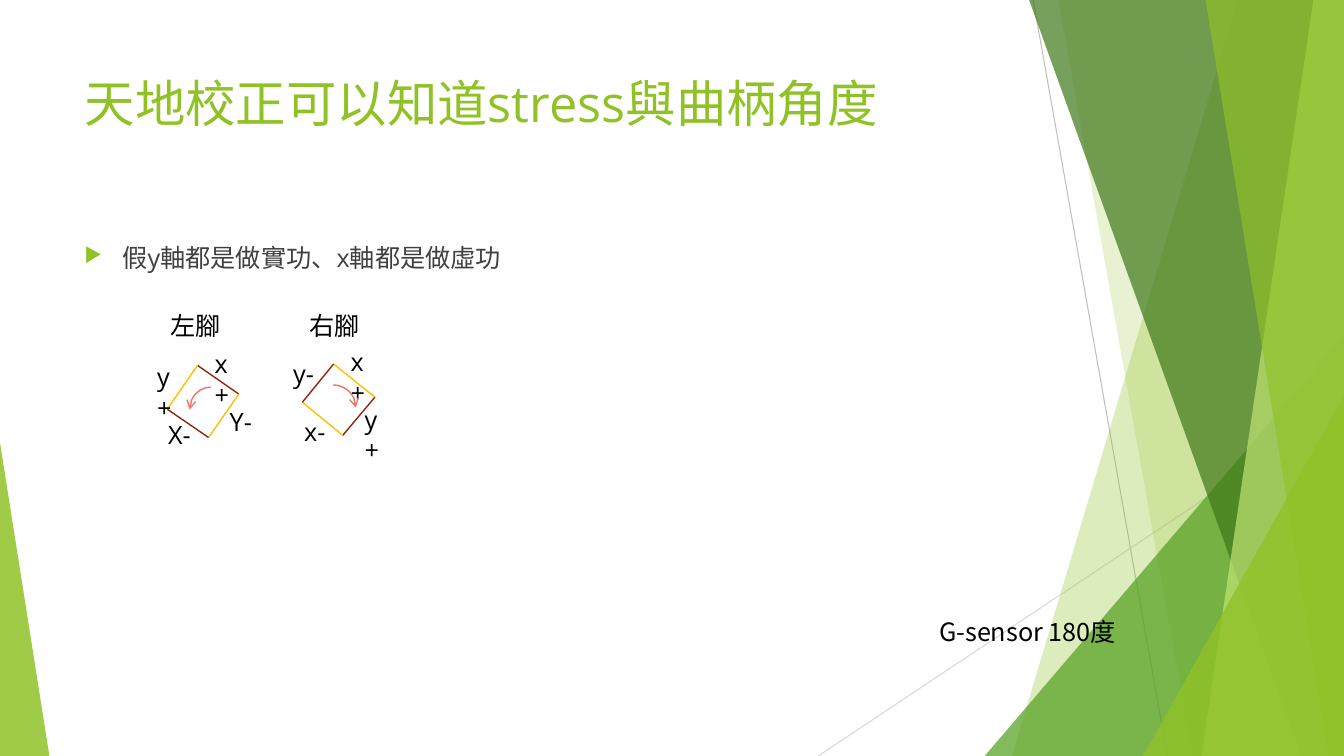
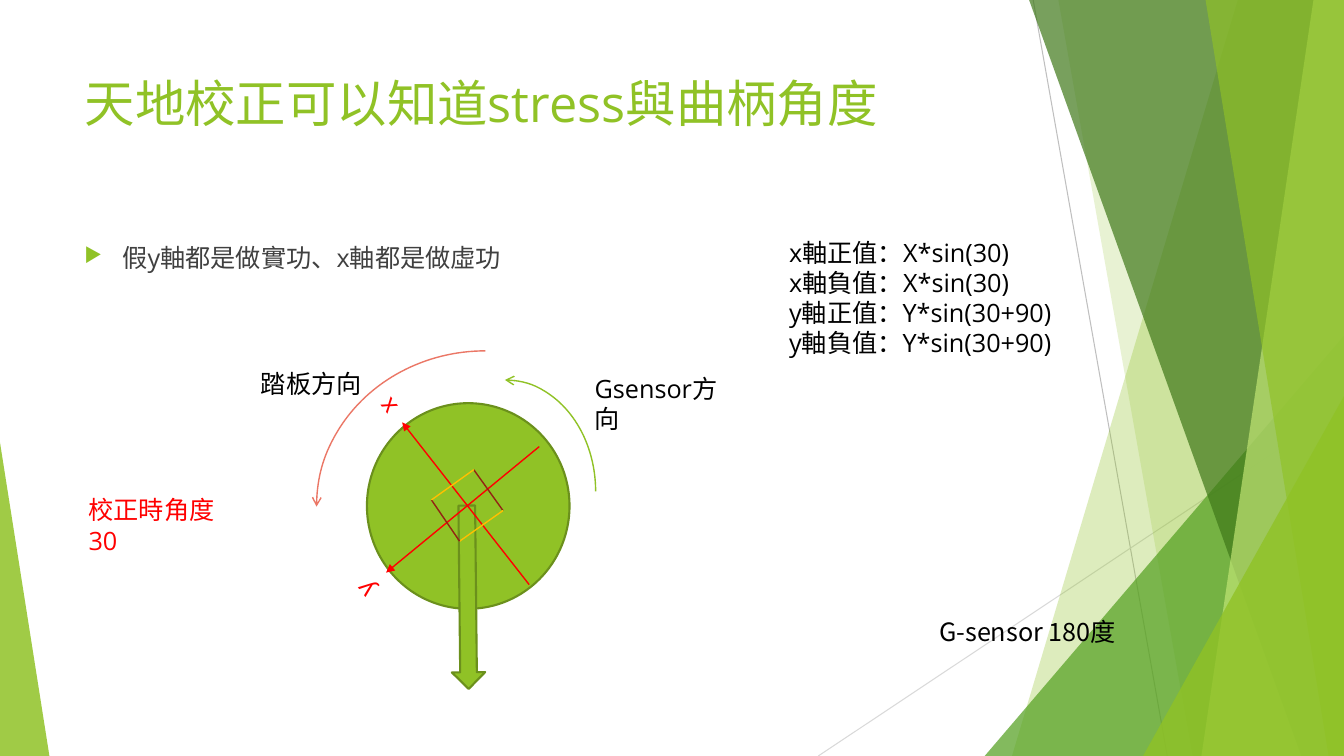
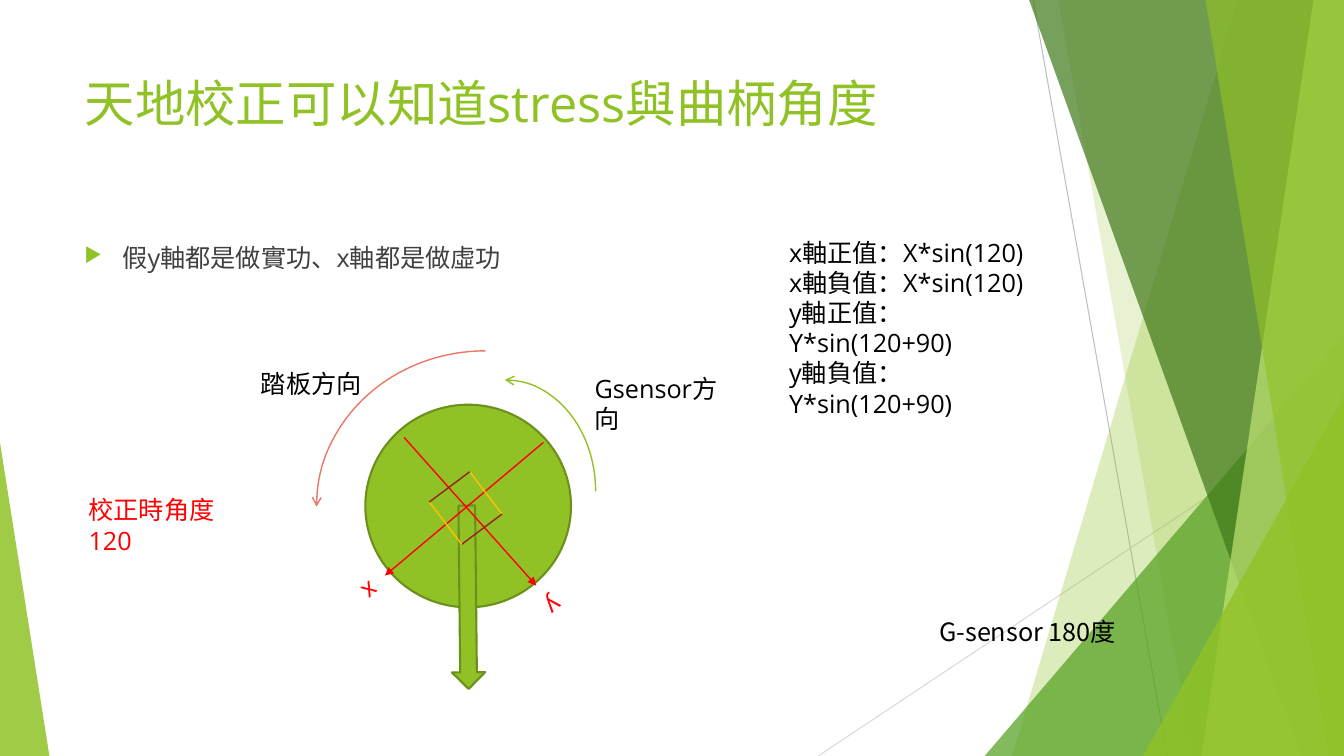
from dataclasses import dataclass
from itertools import cycle
from typing import Any

import lxml.etree
import pptx
import pptx.dml.color
import pptx.enum.shapes
import pptx.enum.text
import pptx.oxml.ns
import pptx.util

Pt = pptx.util.Pt
Preset = pptx.enum.shapes.MSO_SHAPE
Point = tuple[float, float]

WIDTH, HEIGHT = 960, 540
GREEN = "90C226"
DARK_GREEN = "6B901C"
AMBER = "FFC000"
BROWN = "932313"
CORAL = "EB7766"
RED = "FF0000"
BLACK = "000000"
BODY_GREY = "404040"
FONT = "Open Sans"
TITLE = "天地校正可以知道stress與曲柄角度"
BULLET = "假y軸都是做實功、x軸都是做虛功"


@dataclass(frozen=True)
class Box:
    left: float
    top: float
    width: float
    height: float = 28.8

    def lengths(self) -> list[pptx.util.Length]:
        return [Pt(value) for value in (self.left, self.top, self.width, self.height)]


@dataclass(frozen=True)
class Label:
    text: str
    box: Box
    color: str = BLACK
    font: str = FONT
    rotation: float = 0


@dataclass(frozen=True)
class Line:
    start: Point
    end: Point
    color: str
    weight: float = 1
    arrow: bool = False


@dataclass(frozen=True)
class Arc:
    box: Box
    color: str
    arrow_end: str = "tailEnd"
    flipped: bool = False


@dataclass(frozen=True)
class Diamond:
    top: Point
    right: Point
    bottom: Point
    left: Point
    first_color: str
    second_color: str


@dataclass(frozen=True)
class Band:
    top_left: float
    bottom_left: float
    color: str
    opacity: int


@dataclass(frozen=True)
class Triangle:
    box: Box
    apex: float
    color: str
    opacity: int


@dataclass(frozen=True)
class Dial:
    angle: int
    rotation: float
    axes: tuple[Line, Line]
    axis_labels: tuple[Label, Label]
    diamond: Diamond
    angle_width: float
    formula_width: float


SCENERY = [
    Line((738, 0), (833.8, HEIGHT), "BFBFBF", 0.75),
    Line((WIDTH, 290), (584.5, HEIGHT), "D9D9D9", 0.75),
    Band(884.2, 722.9, GREEN, 30),
    Band(756, 851.8, GREEN, 20),
    Triangle(Box(703.4, 239.8, 256.6, 300.2), 1, "54A021", 72),
    Band(735.1, 929.5, "3F7819", 70),
    Band(938.2, 858.2, "C0E474", 70),
    Band(861.1, 949, GREEN, 65),
    Triangle(Box(816.5, 283, 143.5, 257), 1, GREEN, 80),
    Triangle(Box(0, 316.1, 35.3, 223.9), 0, GREEN, 85),
]

FEET = [
    Diamond((141.1, 261), (170.6, 281.5), (149, 312.5), (119.5, 292.3), BROWN, AMBER),
    Label("x+", Box(146.2, 245.5, 33.1)),
    Label("X-", Box(113, 295.9, 31.7)),
    Label("Y-", Box(157, 286.6, 31.7)),
    Label("y+", Box(105.1, 254.9, 33.1)),
    Label("左腳", Box(114.5, 218.2, 51.1)),
    Diamond((238.3, 260), (267.8, 283.7), (244.8, 311), (216, 287.3), AMBER, BROWN),
    Label("x+", Box(243.4, 244.1, 33.1)),
    Label("x-", Box(210.2, 293.8, 31.7)),
    Label("y+", Box(253.4, 285.1, 33.1)),
    Label("y-", Box(202.3, 252.7, 30.2)),
    Arc(Box(135.4, 276.5, 30.2, 32.4), CORAL, flipped=True),
    Arc(Box(221.8, 275, 32.4, 32.4), CORAL),
    Label("右腳", Box(213.8, 218.2, 51.1)),
]

DIRECTIONS = [
    Arc(Box(295.9, 271.4, 129.6, 159.1), GREEN, "headEnd"),
    Arc(Box(226.1, 250.6, 241.2, 222.5), CORAL, flipped=True),
    Label("踏板方向", Box(179.3, 259.2, 89.3)),
    Label("Gsensor方向", Box(417.6, 262.8, 114.5)),
]


def axis(start: Point, end: Point) -> Line:
    return Line(start, end, RED, arrow=True)


def axis_label(text: str, left: float, top: float, rotation: float) -> Label:
    return Label(text, Box(left, top, 27.4, 33.1), RED, "Arial", rotation)


DIALS = [
    Dial(
        30, 0,
        (axis((378, 417.6), (287.3, 301.7)), axis((385.2, 319), (275.8, 409))),
        (axis_label("x", 262.8, 271.4, 232), axis_label("y", 247, 402.5, 232)),
        Diamond((338.4, 335.5), (359.3, 364.7), (328.3, 386.6), (308.2, 357.1), BROWN, AMBER),
        124.6, 203.8,
    ),
    Dial(
        120, 270,
        (axis((388.1, 316.1), (275, 411.1)), axis((288.7, 312.5), (383, 418.3))),
        (axis_label("x", 248.4, 406.1, 139.8), axis_label("y", 379.4, 416.9, 139.8)),
        Diamond((335.5, 337), (358.6, 367.2), (329.8, 388.8), (306.7, 358.6), AMBER, BROWN),
        133.9, 206.6,
    ),
]


def rgb(color: str) -> pptx.dml.color.RGBColor:
    return pptx.dml.color.RGBColor.from_string(color)


def add_xml(parent: Any, tag: str, **attributes: str) -> Any:
    return lxml.etree.SubElement(parent, pptx.oxml.ns.qn(tag), attributes)


def fill_shape(shape: Any, color: str, opacity: int = 100) -> None:
    shape.shadow.inherit = False
    shape.fill.solid()
    shape.fill.fore_color.rgb = rgb(color)
    shape.line.fill.background()
    if opacity < 100:
        color_element = next(shape.element.spPr.iter(pptx.oxml.ns.qn("a:srgbClr")))
        add_xml(color_element, "a:alpha", val=str(opacity * 1000))


def style_line(shape: Any, color: str, weight: float) -> None:
    shape.line.color.rgb = rgb(color)
    shape.line.width = Pt(weight)


def add_arrowhead(shape: Any, end: str, kind: str) -> None:
    add_xml(shape.element.spPr.find(pptx.oxml.ns.qn("a:ln")), f"a:{end}", type=kind)


def write_text(shape: Any, text: str, size: float, color: str, font: str = FONT) -> None:
    frame = shape.text_frame
    frame.text = text
    frame.word_wrap = True
    frame.vertical_anchor = pptx.enum.text.MSO_ANCHOR.TOP
    for paragraph in frame.paragraphs:
        paragraph.alignment = pptx.enum.text.PP_ALIGN.LEFT
        for run in paragraph.runs:
            run.font.name = font
            run.font.size = Pt(size)
            run.font.color.rgb = rgb(color)


def draw_label(slide: Any, label: Label) -> None:
    shape = slide.shapes.add_textbox(*label.box.lengths())
    write_text(shape, label.text, 18, label.color, label.font)
    shape.text_frame.auto_size = pptx.enum.text.MSO_AUTO_SIZE.SHAPE_TO_FIT_TEXT
    shape.rotation = label.rotation


def draw_line(slide: Any, line: Line) -> None:
    ends = [Pt(value) for value in (*line.start, *line.end)]
    connector = slide.shapes.add_connector(pptx.enum.shapes.MSO_CONNECTOR.STRAIGHT, *ends)
    style_line(connector, line.color, line.weight)
    if line.arrow:
        add_arrowhead(connector, "tailEnd", "triangle")
    add_xml(connector.element.spPr, "a:effectLst")


def draw_arc(slide: Any, arc: Arc) -> None:
    shape = slide.shapes.add_shape(Preset.ARC, *arc.box.lengths())
    shape.shadow.inherit = False
    shape.fill.background()
    style_line(shape, arc.color, 1)
    add_arrowhead(shape, arc.arrow_end, "arrow")
    if arc.flipped:
        shape.element.spPr.find(pptx.oxml.ns.qn("a:xfrm")).set("flipH", "1")


def draw_diamond(slide: Any, diamond: Diamond) -> None:
    corners = [diamond.top, diamond.right, diamond.bottom, diamond.left]
    colors = cycle([diamond.first_color, diamond.second_color])
    for start, end, color in zip(corners, corners[1:] + corners[:1], colors):
        draw_line(slide, Line(start, end, color))


def draw_band(slide: Any, band: Band) -> None:
    builder = slide.shapes.build_freeform(Pt(band.top_left), 0)
    corners = [(WIDTH, 0), (WIDTH, HEIGHT), (band.bottom_left, HEIGHT)]
    builder.add_line_segments([(Pt(x), Pt(y)) for x, y in corners], close=True)
    fill_shape(builder.convert_to_shape(), band.color, band.opacity)


def draw_triangle(slide: Any, triangle: Triangle) -> None:
    shape = slide.shapes.add_shape(Preset.ISOSCELES_TRIANGLE, *triangle.box.lengths())
    shape.adjustments[0] = triangle.apex
    fill_shape(shape, triangle.color, triangle.opacity)


DRAWERS = {
    Label: draw_label,
    Line: draw_line,
    Arc: draw_arc,
    Diamond: draw_diamond,
    Band: draw_band,
    Triangle: draw_triangle,
}


def draw_all(slide: Any, items: list[Any]) -> None:
    for item in items:
        DRAWERS[type(item)](slide, item)


def draw_outlined(slide: Any, preset: Any, box: Box, rotation: float) -> None:
    shape = slide.shapes.add_shape(preset, *box.lengths())
    fill_shape(shape, GREEN)
    style_line(shape, DARK_GREEN, 1.5)
    shape.rotation = rotation


def move_scenery_to_layout(slide: Any, layout: Any) -> None:
    for placeholder in list(layout.placeholders):
        if placeholder.placeholder_format.type != pptx.enum.shapes.PP_PLACEHOLDER.TITLE:
            layout.shapes.element.remove(placeholder.element)
    draw_all(slide, SCENERY)
    for shape in list(slide.shapes):
        if not shape.is_placeholder:
            layout.shapes.element.append(shape.element)


def draw_frame(slide: Any) -> None:
    title = slide.shapes.title
    title.left, title.top, title.width, title.height = Box(53.3, 48.2, 676.8, 103.7).lengths()
    write_text(title, TITLE, 36, GREEN)
    title.text_frame.auto_size = pptx.enum.text.MSO_AUTO_SIZE.NONE

    body = slide.shapes.add_textbox(*Box(53.3, 169.9, 676.8, 305.3).lengths())
    write_text(body, BULLET, 18, BODY_GREY)
    paragraph = body.text_frame.paragraphs[0]
    paragraph.space_before = Pt(10)
    properties = paragraph._p.get_or_add_pPr()
    properties.set("marL", str(Pt(27)))
    properties.set("indent", str(-Pt(27)))
    add_xml(add_xml(properties, "a:buClr"), "a:srgbClr", val=GREEN)
    add_xml(properties, "a:buSzPct", val="80000")
    add_xml(properties, "a:buChar", char="▶")

    draw_label(slide, Label("G-sensor 180度", Box(663.8, 437, 146.2), font="Noto Sans CJK SC"))


def draw_dial(slide: Any, dial: Dial) -> None:
    draw_outlined(slide, Preset.OVAL, Box(262.1, 288, 144.7, 146.9), dial.rotation)
    draw_all(slide, DIRECTIONS)
    draw_outlined(slide, Preset.RIGHT_ARROW, Box(268.6, 414.7, 131, 23.8), 89.4)
    draw_all(slide, [*dial.axes, *dial.axis_labels, dial.diamond])
    formulas = "\n".join(
        f"{name}軸{sign}值：{name.upper()}*sin({dial.angle}{offset})"
        for name, offset in (("x", ""), ("y", "+90"))
        for sign in "正負"
    )
    draw_label(slide, Label(f"校正時角度{dial.angle}", Box(56.2, 349.9, dial.angle_width), RED))
    draw_label(slide, Label(formulas, Box(556.6, 165.6, dial.formula_width, 94.3)))


def main() -> None:
    presentation = pptx.Presentation()
    presentation.slide_width = Pt(WIDTH)
    presentation.slide_height = Pt(HEIGHT)
    layout = presentation.slide_layouts[5]

    feet_slide = presentation.slides.add_slide(layout)
    move_scenery_to_layout(feet_slide, layout)
    draw_frame(feet_slide)
    draw_all(feet_slide, FEET)

    for dial in DIALS:
        dial_slide = presentation.slides.add_slide(layout)
        draw_frame(dial_slide)
        draw_dial(dial_slide, dial)

    presentation.save("out.pptx")


main()
